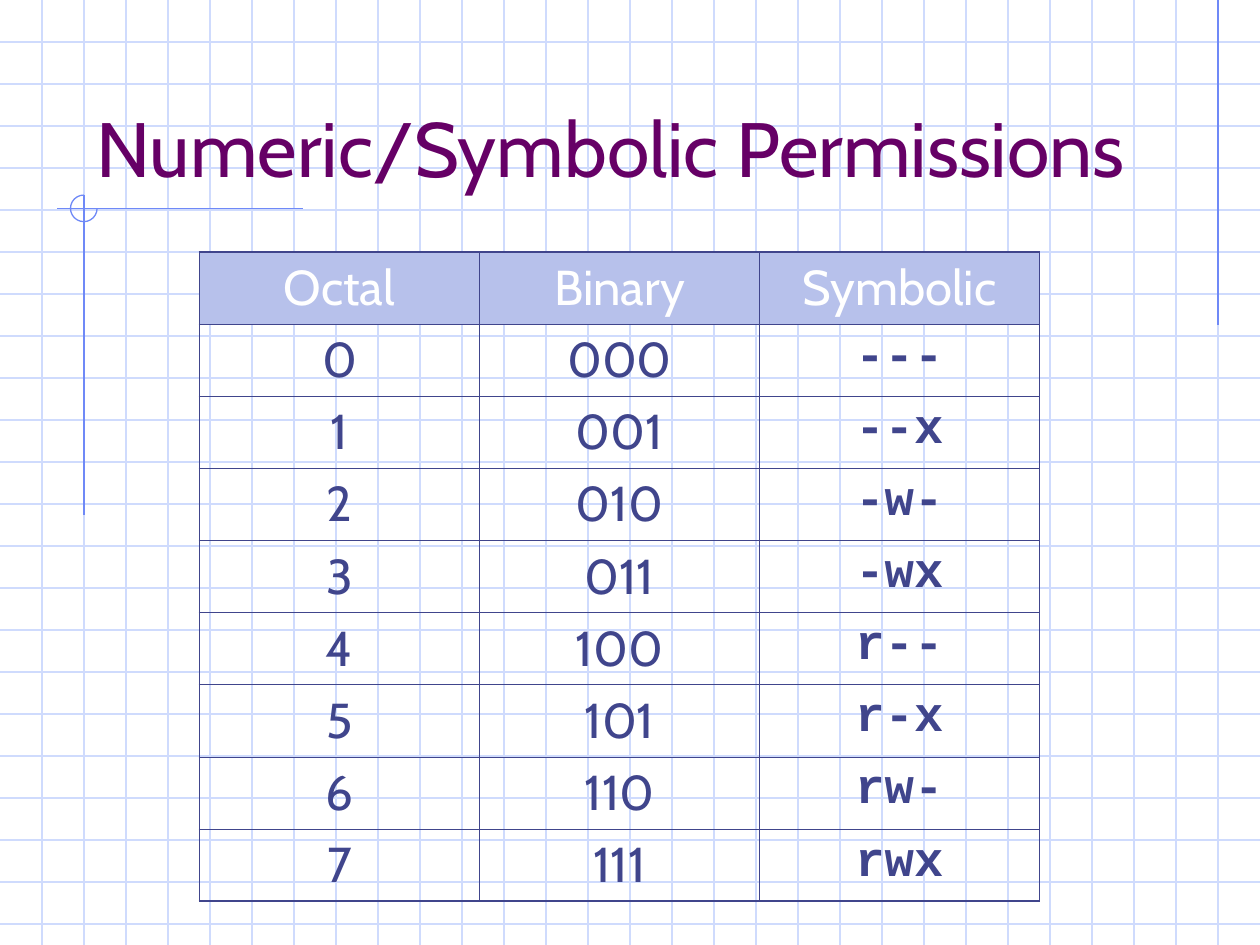
from pptx import Presentation
from pptx import util as u
from pptx.dml import color
from pptx.enum import shapes, text
from pptx.oxml import parse_xml, ns
from lxml import etree

Pt = u.Pt
TITLE = "Numeric/Symbolic Permissions"
HEADS = ["Octal", "Binary", "Symbolic"]
MODES = ["---", "--x", "-w-", "-wx", "r--", "r-x", "rw-", "rwx"]
ROWS = [HEADS] + [[str(n), f"{n:03b}", mode] for n, mode in enumerate(MODES)]

THEME = dict(
    grid="CFDBFD", accent="6F89F7", title="660066", ink="40458C",
    head="B7C1EB", white="FFFFFF", font="Cabin", mono="Courier New",
    big=44, body=28, line=0.74, thin=0.45, thick=1.08,
)
WIDE, HIGH, STEP = 720, 540, 24
LEFT, TOP, COL, ROW = 114, 144, 160, 41.2
ACCENTS = [(696, 0, 696, 186), (173, 119.2, 32.5, 119.2), (48, 111.5, 48, 294.5)]
RING = (40.3, 111.5, 15.2, 15.2)


def rgb(name):
    return color.RGBColor.from_string(THEME[name])


def write(frame, words, size="body", ink="ink", font="font", bold=False,
          align=text.PP_ALIGN.CENTER, before=7):
    para = frame.paragraphs[0]
    para.alignment = align
    para.space_before = Pt(before)
    run = para.add_run()
    run.text = words
    run.font.size = Pt(THEME[size])
    run.font.name = THEME[font]
    run.font.bold = bold
    run.font.color.rgb = rgb(ink)


def paint(line, ink):
    line.color.rgb = rgb(ink)
    line.width = Pt(THEME["line"])


def rule(ends, ink):
    line = slide.shapes.add_connector(
        shapes.MSO_CONNECTOR.STRAIGHT, *[Pt(n) for n in ends])
    paint(line.line, ink)
    etree.SubElement(line.element.spPr, ns.qn("a:effectLst"))


def border(cell, edges):
    props = cell._tc.get_or_add_tcPr()
    for side, outer in edges.items():
        width = Pt(THEME["thick" if outer else "thin"])
        props.append(parse_xml(
            f'<a:ln{side} {ns.nsdecls("a")} w="{int(width)}"><a:solidFill>'
            f'<a:srgbClr val="{THEME["ink"]}"/></a:solidFill></a:ln{side}>'))


deck = Presentation()
deck.slide_width, deck.slide_height = Pt(WIDE), Pt(HIGH)
slide = deck.slides.add_slide(deck.slide_layouts[5])
slide.background.fill.solid()
slide.background.fill.fore_color.rgb = rgb("white")

for y in range(STEP, HIGH, STEP):
    rule((0, y, WIDE, y), "grid")
for x in range(STEP, WIDE, STEP):
    rule((x, 0, x, HIGH), "grid")
for ends in ACCENTS:
    rule(ends, "accent")

ring = slide.shapes.add_shape(shapes.MSO_SHAPE.ARC, *[Pt(n) for n in RING])
ring.adjustments[0], ring.adjustments[1] = 0, 162
ring.shadow.inherit = False
ring.fill.background()
paint(ring.line, "accent")

title = slide.shapes.title
title.left, title.top, title.width, title.height = Pt(48), Pt(24), Pt(612), Pt(90)
title.text_frame.auto_size = text.MSO_AUTO_SIZE.NONE
title.text_frame.word_wrap = True
title.text_frame.vertical_anchor = text.MSO_ANCHOR.BOTTOM
write(title.text_frame, TITLE, size="big", ink="title",
      align=text.PP_ALIGN.LEFT, before=0)
title.element.getparent().append(title.element)

table = slide.shapes.add_table(
    len(ROWS), len(HEADS), Pt(LEFT), Pt(TOP),
    Pt(COL * len(HEADS)), Pt(ROW * len(ROWS))).table
table.first_row = table.horz_banding = False
for col in table.columns:
    col.width = Pt(COL)
for r, row in enumerate(ROWS):
    table.rows[r].height = Pt(ROW)
    for c, words in enumerate(row):
        cell = table.cell(r, c)
        border(cell, {"L": c == 0, "R": c == len(HEADS) - 1,
                      "T": r == 0, "B": r == len(ROWS) - 1})
        if r == 0:
            cell.fill.solid()
            cell.fill.fore_color.rgb = rgb("head")
        else:
            cell.fill.background()
        mono = r > 0 and c == 2
        write(cell.text_frame, words, ink="ink" if r else "white",
              font="mono" if mono else "font", bold=mono)

deck.save("out.pptx")
